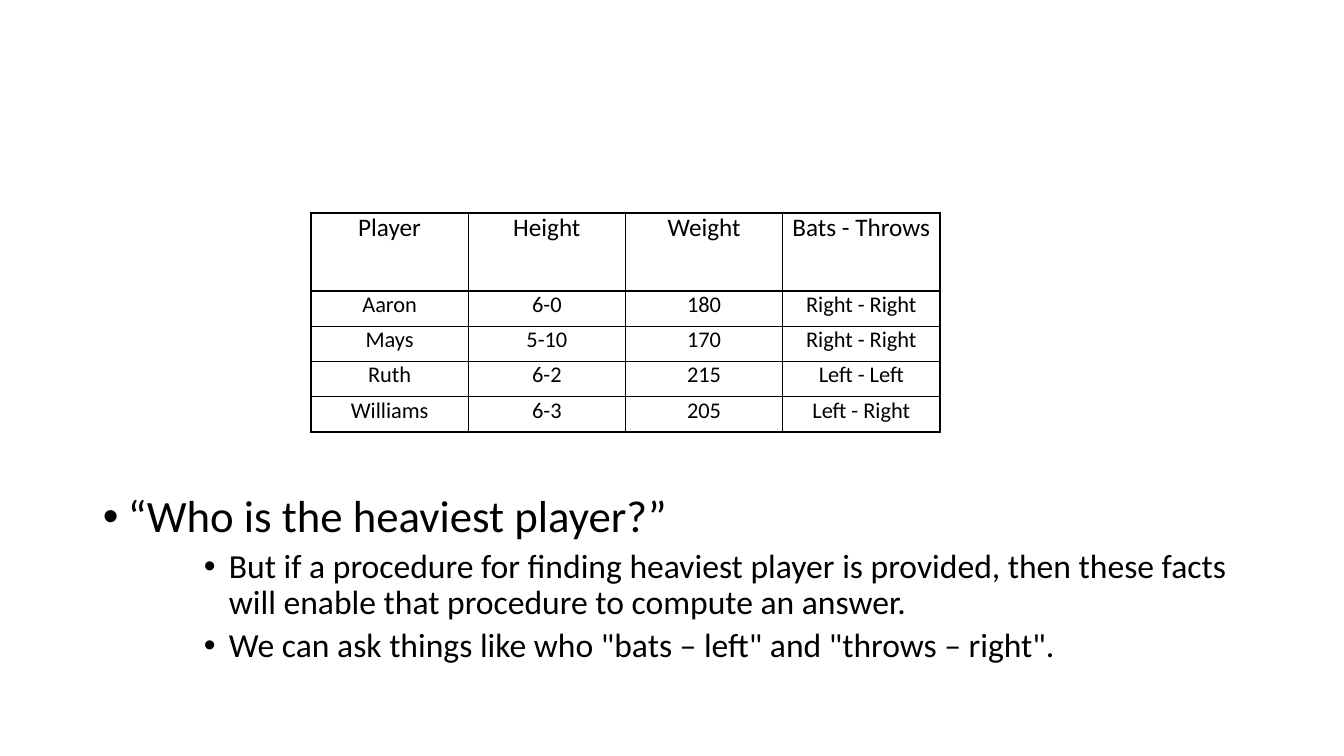
from lxml import etree
from pptx import Presentation, util as u
from pptx.dml.color import RGBColor
from pptx.enum import text as t
from pptx.oxml.ns import qn

# Content
ROWS = [
    ("Player", "Height", "Weight", "Bats - Throws"),
    ("Aaron", "6-0", "180", "Right - Right"),
    ("Mays", "5-10", "170", "Right - Right"),
    ("Ruth", "6-2", "215", "Left - Left"),
    ("Williams", "6-3", "205", "Left - Right"),
]
# Level, left indent in px, size, space before, words
POINTS = [
    (0, 25, 32, 0, "“Who is the heaviest player?”"),
    (2, 126, 24, 5, "But if a procedure for finding heaviest player is provided, "
                    "then these facts will enable that procedure to compute an answer."),
    (2, 126, 24, 5, 'We can ask things like who "bats – left" and "throws – right".'),
]
INK = {"text": "000000", "line": "000000"}
FONT = "Calibri"
GRID = (311, 213, 629, 219)
HEAD = 78
BODY = (93, 489, 1159, 192)
HANG = 25


def px(n):
    return u.Emu(round(n * 914400 / 100.8))


def add_run(para, words, size):
    run = para.add_run()
    run.text = words
    run.font.name = FONT
    run.font.size = u.Pt(size)
    run.font.color.rgb = RGBColor.from_string(INK["text"])


def add_edges(cell):
    props = cell._tc.get_or_add_tcPr()
    for i, side in enumerate(("lnL", "lnR", "lnT", "lnB")):
        line = etree.Element(qn("a:" + side), w=str(u.Pt(1)))
        fill = etree.SubElement(line, qn("a:solidFill"))
        etree.SubElement(fill, qn("a:srgbClr"), val=INK["line"])
        props.insert(i, line)


def add_table(slide):
    table = slide.shapes.add_table(len(ROWS), len(ROWS[0]), *map(px, GRID)).table
    table.first_row = table.horz_banding = False
    for col in table.columns:
        col.width = px(GRID[2] / len(ROWS[0]))
    for r, words in enumerate(ROWS):
        table.rows[r].height = px((GRID[3] - HEAD) / (len(ROWS) - 1) if r else HEAD)
        for c, word in enumerate(words):
            cell = table.cell(r, c)
            cell.margin_left = cell.margin_right = 0
            cell.margin_top = cell.margin_bottom = 0
            cell.vertical_anchor = t.MSO_ANCHOR.TOP
            cell.fill.background()
            add_edges(cell)
            para = cell.text_frame.paragraphs[0]
            para.alignment = t.PP_ALIGN.CENTER
            add_run(para, word, 16 if r else 18)


def add_points(slide):
    frame = slide.shapes.add_textbox(*map(px, BODY)).text_frame
    frame.word_wrap = True
    for i, (level, left, size, gap, words) in enumerate(POINTS):
        para = frame.add_paragraph() if i else frame.paragraphs[0]
        para.level = level
        props = para._p.get_or_add_pPr()
        props.set("marL", str(px(left)))
        props.set("indent", str(-px(HANG)))
        etree.SubElement(props, qn("a:buFont"), typeface="Arial")
        etree.SubElement(props, qn("a:buChar"), char="•")
        para.line_spacing = 0.9
        para.space_before = u.Pt(gap)
        add_run(para, words, size)


def main():
    deck = Presentation()
    deck.slide_width, deck.slide_height = px(1344), px(756)
    slide = deck.slides.add_slide(deck.slide_layouts[6])
    add_points(slide)
    add_table(slide)
    deck.save("out.pptx")


if __name__ == "__main__":
    main()
